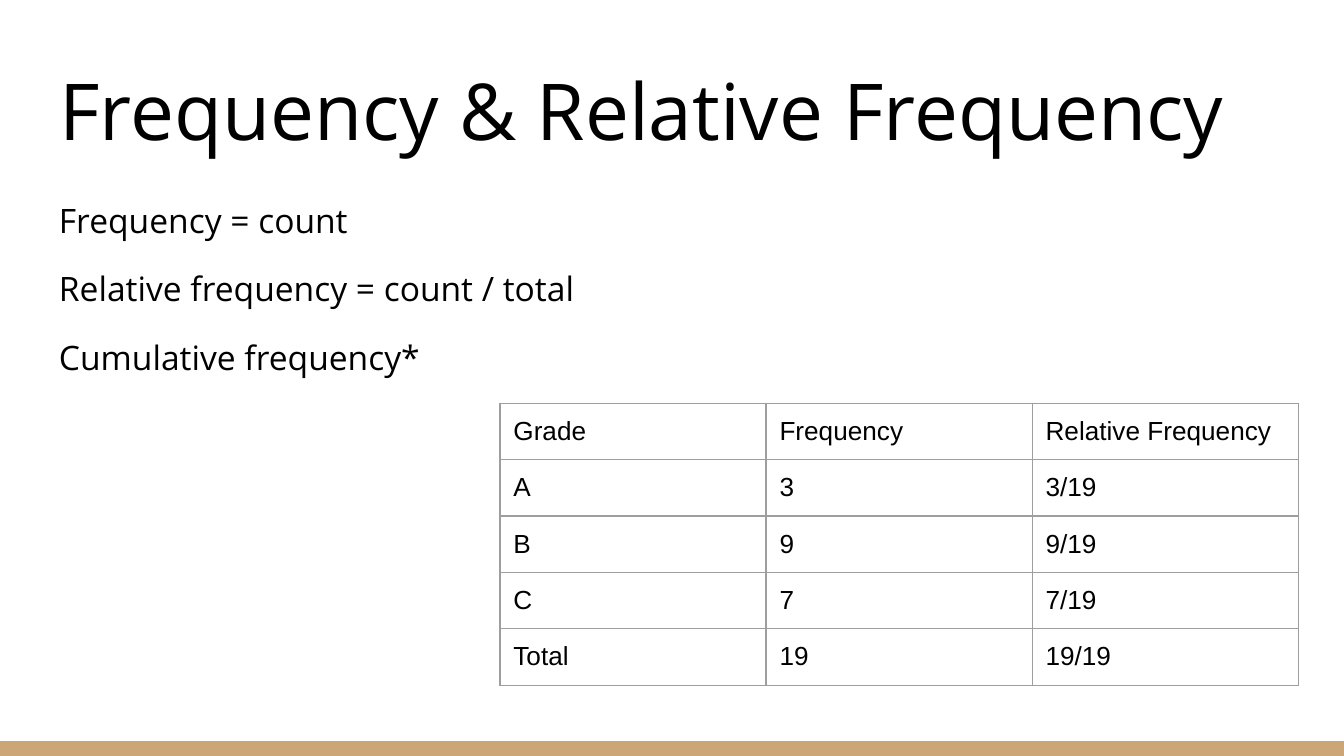
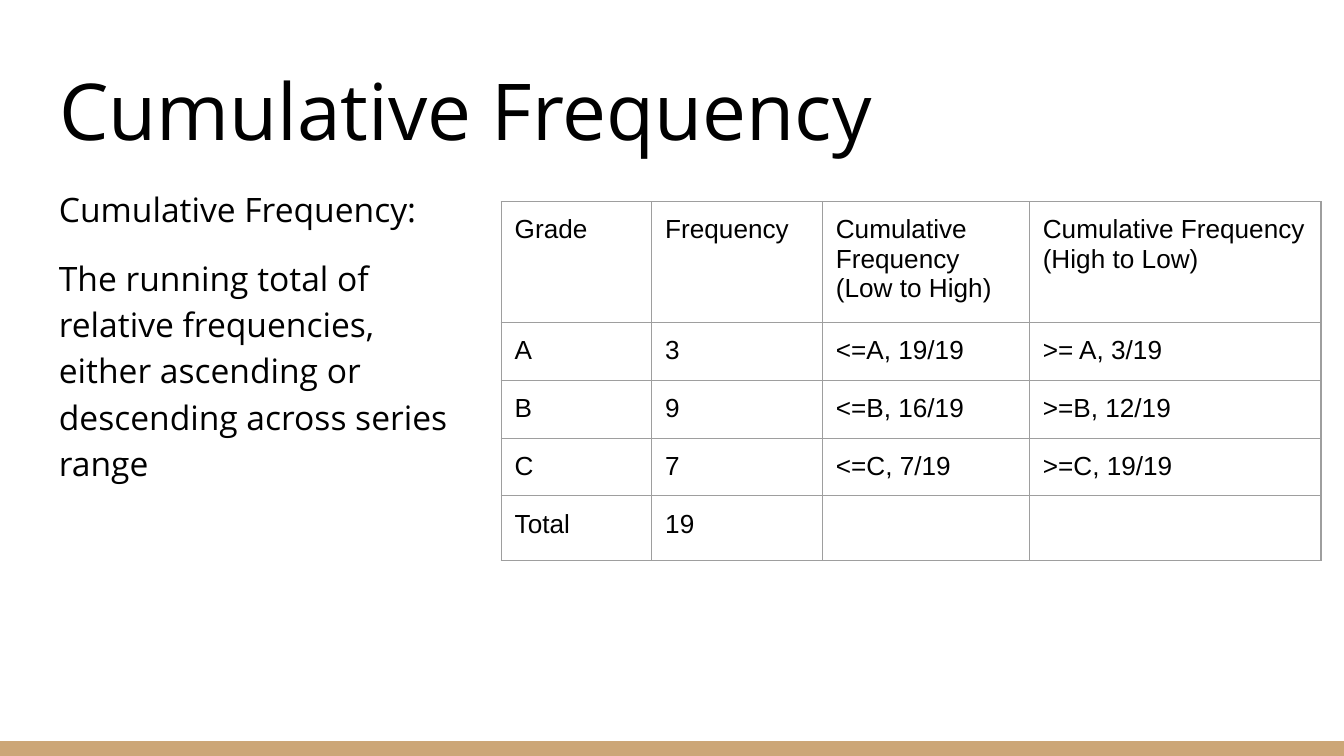
"""Build two slides on frequency, relative frequency and cumulative frequency."""
from lxml import etree
from pptx import Presentation
from pptx.dml.color import RGBColor
from pptx.enum.shapes import MSO_SHAPE
from pptx.enum.text import MSO_ANCHOR, MSO_AUTO_SIZE, PP_ALIGN
from pptx.oxml.ns import qn
from pptx.util import Inches, Pt

RECTANGLE = MSO_SHAPE.RECTANGLE
TOP, BOTTOM = MSO_ANCHOR.TOP, MSO_ANCHOR.BOTTOM
NO_FIT = MSO_AUTO_SIZE.NONE
LEFT = PP_ALIGN.LEFT

SLIDE_WIDTH = 10
SLIDE_HEIGHT = SLIDE_WIDTH * 9 / 16
BAND_HEIGHT = 0.11
MARGIN, INSET = 0.34, 0.1
TITLE_BOX = (MARGIN, 0.35, SLIDE_WIDTH - 2 * MARGIN, 0.91)
BLACK, TAN, GREY = "000000", "CCA677", "9E9E9E"
TEXT_FONT, TABLE_FONT = "Open Sans", "Arial"
TITLE_SIZE, BODY_SIZE, TABLE_SIZE, EMPTY_CELL_SIZE = 42, 18, 14, 18

SLIDES = [
    {
        "title": "Frequency & Relative Frequency",
        "body": [
            "Frequency = count",
            "Relative frequency = count / total",
            "Cumulative frequency*",
        ],
        "body_box": (MARGIN, 1.34, 9.32, 3.67),
        "table_at": (3.72, 3),
        "columns": [1.98] * 3,
        "row_heights": [0.42] * 5,
        "rows": [
            ("Grade", "Frequency", "Relative Frequency"),
            ("A", "3", "3/19"),
            ("B", "9", "9/19"),
            ("C", "7", "7/19"),
            ("Total", "19", "19/19"),
        ],
    },
    {
        "title": "Cumulative Frequency",
        "body": [
            "Cumulative Frequency:",
            "The running total of relative frequencies, either ascending or "
            "descending across series range",
        ],
        "body_box": (MARGIN, 1.26, 3.14, 3.74),
        "table_at": (3.73, 1.5),
        "columns": [1.12, 1.27, 1.54, 2.17],
        "row_heights": [0.9] + [0.43] * 4,
        "rows": [
            ("Grade", "Frequency", "Cumulative Frequency (Low to High)",
             "Cumulative Frequency (High to Low)"),
            ("A", "3", "<=A, 19/19", ">= A, 3/19"),
            ("B", "9", "<=B, 16/19", ">=B, 12/19"),
            ("C", "7", "<=C, 7/19", ">=C, 19/19"),
            ("Total", "19", "", ""),
        ],
    },
]


def color(hex_code):
    return RGBColor.from_string(hex_code)


def inches(values):
    return [Inches(value) for value in values]


def set_font(paragraph, name, size):
    paragraph.alignment = LEFT
    paragraph.font.name = name
    paragraph.font.size = Pt(size)
    paragraph.font.color.rgb = color(BLACK)


def set_insets(holder):
    holder.margin_left = holder.margin_right = Inches(INSET)
    holder.margin_top = holder.margin_bottom = Inches(INSET)


def set_frame(frame, anchor):
    frame.word_wrap = True
    frame.auto_size = NO_FIT
    frame.vertical_anchor = anchor
    set_insets(frame)


def add_band(slide):
    band = slide.shapes.add_shape(RECTANGLE, *inches(
        (0, SLIDE_HEIGHT - BAND_HEIGHT, SLIDE_WIDTH, BAND_HEIGHT)))
    band.shadow.inherit = False
    band.fill.solid()
    band.fill.fore_color.rgb = color(TAN)
    band.line.fill.background()


def set_title(slide, text):
    title = slide.shapes.title
    title.left, title.top, title.width, title.height = inches(TITLE_BOX)
    title.text_frame.text = text
    set_frame(title.text_frame, BOTTOM)
    set_font(title.text_frame.paragraphs[0], TEXT_FONT, TITLE_SIZE)


def add_body(slide, lines, box):
    frame = slide.shapes.add_textbox(*inches(box)).text_frame
    frame.text = "\n".join(lines)
    set_frame(frame, TOP)
    for index, paragraph in enumerate(frame.paragraphs):
        set_font(paragraph, TEXT_FONT, BODY_SIZE)
        paragraph.line_spacing = 1.15
        paragraph.space_before = Pt(12 if index else 0)


def add_borders(cell):
    properties = cell._tc.get_or_add_tcPr()
    for position, side in enumerate(("lnL", "lnR", "lnT", "lnB")):
        line = etree.Element(qn("a:" + side), w=str(Pt(0.75)))
        fill = etree.SubElement(line, qn("a:solidFill"))
        etree.SubElement(fill, qn("a:srgbClr"), val=GREY)
        properties.insert(position, line)


def add_grade_table(slide, content):
    columns, heights = content["columns"], content["row_heights"]
    table = slide.shapes.add_table(
        len(heights), len(columns),
        *inches((*content["table_at"], sum(columns), sum(heights)))).table
    table.first_row = table.horz_banding = False
    for column, width in zip(table.columns, columns):
        column.width = Inches(width)
    for row, height, texts in zip(table.rows, heights, content["rows"]):
        row.height = Inches(height)
        for cell, text in zip(row.cells, texts):
            set_insets(cell)
            cell.fill.background()
            add_borders(cell)
            cell.text = text
            set_font(cell.text_frame.paragraphs[0], TABLE_FONT,
                     TABLE_SIZE if text else EMPTY_CELL_SIZE)


deck = Presentation()
deck.slide_width, deck.slide_height = inches((SLIDE_WIDTH, SLIDE_HEIGHT))
title_only = deck.slide_layouts.get_by_name("Title Only")
for content in SLIDES:
    slide = deck.slides.add_slide(title_only)
    add_band(slide)
    set_title(slide, content["title"])
    add_body(slide, content["body"], content["body_box"])
    add_grade_table(slide, content)
deck.save("out.pptx")
